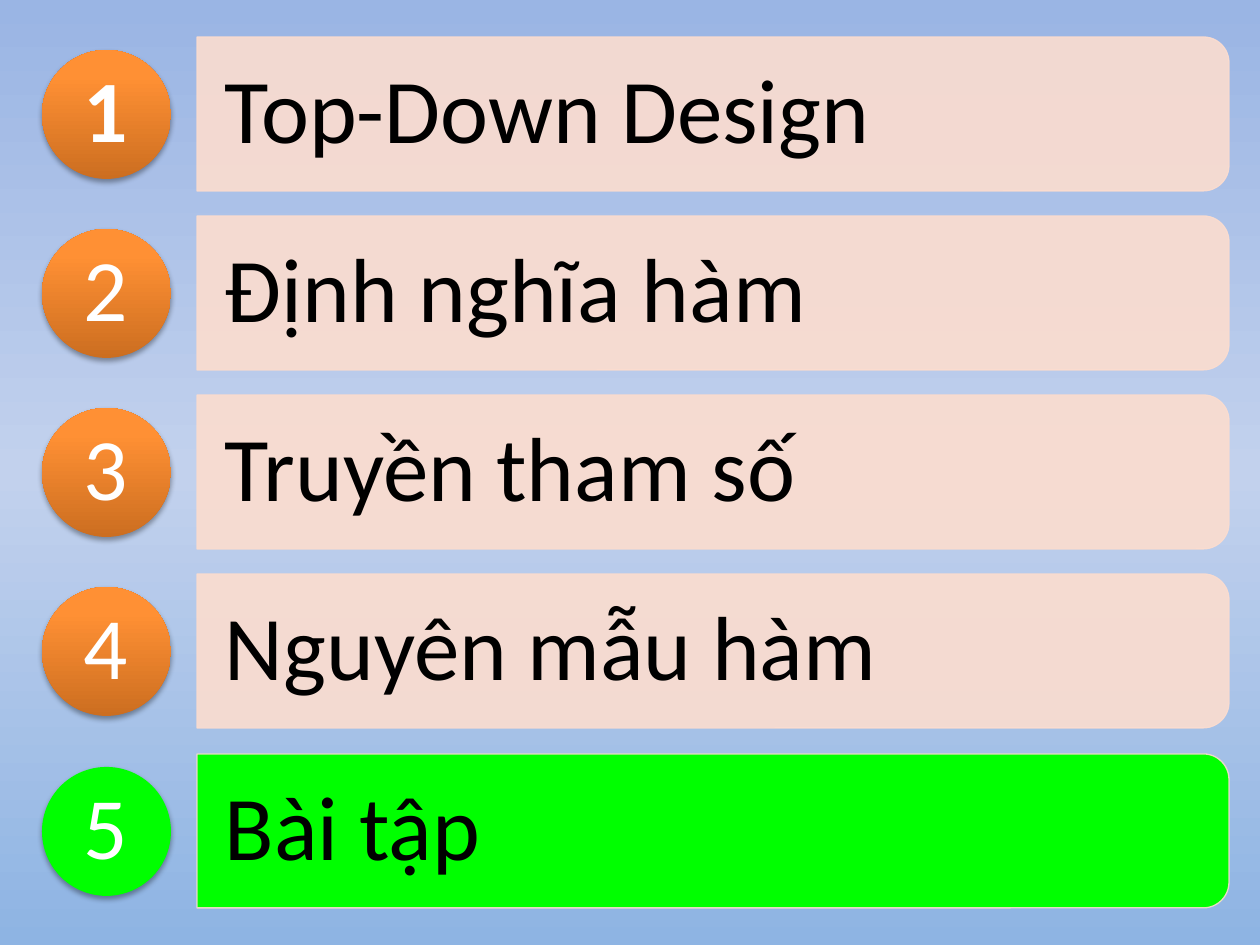
from typing import NamedTuple

from lxml.etree import SubElement
from pptx import Presentation
from pptx.dml.color import RGBColor
from pptx.enum.shapes import MSO_SHAPE
from pptx.enum.text import MSO_ANCHOR, PP_ALIGN
from pptx.oxml.ns import qn
from pptx.util import Pt

EMU_PER_PIXEL = 914400 // 126

BLACK = RGBColor(0x00, 0x00, 0x00)
WHITE = RGBColor(0xFF, 0xFF, 0xFF)
PEACH = RGBColor(0xFC, 0xDD, 0xCF)
GREEN = RGBColor(0x00, 0xFF, 0x00)
SKY_STOPS = [
    (0, RGBColor(0x9A, 0xB5, 0xE4)),
    (50, RGBColor(0xC2, 0xD1, 0xED)),
    (100, RGBColor(0x8E, 0xB4, 0xE3)),
]
ORANGE_STOPS = [
    (0, RGBColor(0xCC, 0x6E, 0x20)),
    (80, RGBColor(0xFF, 0x90, 0x34)),
    (100, RGBColor(0xFF, 0x91, 0x36)),
]

FONT = "Calibri"
FIRST_TOP = 37
BAR_LEFT, BAR_WIDTH, BAR_HEIGHT = 197, 1032, 154
CIRCLE_LEFT, CIRCLE_SIZE = 42, 129
NUMBER_LEFT, NUMBER_SIZE = 60, 91
LABEL_WIDTH, LABEL_HEIGHT = 1024, 139


class Topic(NamedTuple):
    title: str
    bold_number: bool = False
    current: bool = False


class TextStyle(NamedTuple):
    size: int
    color: RGBColor
    align: PP_ALIGN
    margin_x: int = 0
    margin_y: int = 0


LABEL_STYLE = TextStyle(52, BLACK, PP_ALIGN.LEFT, 28, 18)
NUMBER_STYLE = TextStyle(50, WHITE, PP_ALIGN.CENTER)

TOPICS = [
    Topic("Top-Down Design", bold_number=True),
    Topic("Định nghĩa hàm"),
    Topic("Truyền tham số"),
    Topic("Nguyên mẫu hàm"),
    Topic("Bài tập", current=True),
]


def px(*pixels: int) -> list[int]:
    return [value * EMU_PER_PIXEL for value in pixels]


def set_gradient(fill, element, stops, angle: int) -> None:
    """Apply a linear gradient; the angle runs clockwise."""
    fill.gradient()
    gradient = element.find(".//" + qn("a:gradFill"))
    for child in list(gradient):
        gradient.remove(child)
    stop_list = SubElement(gradient, qn("a:gsLst"))
    for position, color in stops:
        stop = SubElement(stop_list, qn("a:gs"), pos=str(position * 1000))
        SubElement(stop, qn("a:srgbClr"), val=str(color))
    SubElement(gradient, qn("a:lin"), ang=str(angle * 60000), scaled="0")


def add_bar(slide, middle: int, current: bool) -> None:
    # The preset rounds its top corners, so a quarter turn puts them on the right
    left = BAR_LEFT + (BAR_WIDTH - BAR_HEIGHT) // 2
    top = middle - BAR_WIDTH // 2
    bar = slide.shapes.add_shape(
        MSO_SHAPE.ROUND_2_SAME_RECTANGLE, *px(left, top, BAR_HEIGHT, BAR_WIDTH))
    bar.rotation = 90
    bar.shadow.inherit = False
    bar.fill.solid()
    bar.fill.fore_color.rgb = GREEN if current else PEACH
    bar.line.color.rgb = PEACH
    bar.line.width = Pt(0.75)
    for color in bar.element.spPr.iter(qn("a:srgbClr")):
        if color.get("val") == str(PEACH):
            SubElement(color, qn("a:alpha"), val="90000")


def add_circle(slide, middle: int, current: bool) -> None:
    circle = slide.shapes.add_shape(
        MSO_SHAPE.OVAL,
        *px(CIRCLE_LEFT, middle - CIRCLE_SIZE // 2, CIRCLE_SIZE, CIRCLE_SIZE))
    if current:
        circle.fill.solid()
        circle.fill.fore_color.rgb = GREEN
    else:
        set_gradient(circle.fill, circle.element, ORANGE_STOPS, 270)
    circle.line.fill.background()
    circle.shadow.inherit = False
    effects = circle.element.spPr.find(qn("a:effectLst"))
    shadow = SubElement(effects, qn("a:outerShdw"), blurRad=str(Pt(3.1)),
                        dist=str(Pt(1.8)), dir="5400000", rotWithShape="0")
    color = SubElement(shadow, qn("a:srgbClr"), val=str(BLACK))
    SubElement(color, qn("a:alpha"), val="35000")


def add_text(slide, text: str, left: int, middle: int, width: int, height: int,
             style: TextStyle, bold: bool = False) -> None:
    box = slide.shapes.add_textbox(*px(left, middle - height // 2, width, height))
    frame = box.text_frame
    frame.word_wrap = True
    frame.vertical_anchor = MSO_ANCHOR.MIDDLE
    frame.margin_left, frame.margin_right = px(style.margin_x, style.margin_x)
    frame.margin_top, frame.margin_bottom = px(style.margin_y, style.margin_y)
    frame.text = text
    para = frame.paragraphs[0]
    para.alignment = style.align
    para.line_spacing = 0.9
    font = para.runs[0].font
    font.name = FONT
    font.size = Pt(style.size)
    font.bold = bold
    font.color.rgb = style.color


def add_topic(slide, index: int, topic: Topic) -> None:
    # Five rows share a total travel of 717 pixels
    top = FIRST_TOP + index * 717 // (len(TOPICS) - 1)
    middle = top + BAR_HEIGHT // 2
    add_bar(slide, middle, topic.current)
    add_text(slide, topic.title, BAR_LEFT, middle, LABEL_WIDTH, LABEL_HEIGHT,
             LABEL_STYLE)
    add_circle(slide, middle, topic.current)
    add_text(slide, str(index + 1), NUMBER_LEFT, middle, NUMBER_SIZE, NUMBER_SIZE,
             NUMBER_STYLE, topic.bold_number)


# Deck and background
deck = Presentation()
deck.slide_width, deck.slide_height = px(1260, 945)
page = deck.slides.add_slide(deck.slide_layouts[6])
set_gradient(page.background.fill, page.element, SKY_STOPS, 90)

# Agenda rows
for row, entry in enumerate(TOPICS):
    add_topic(page, row, entry)

deck.save("out.pptx")
